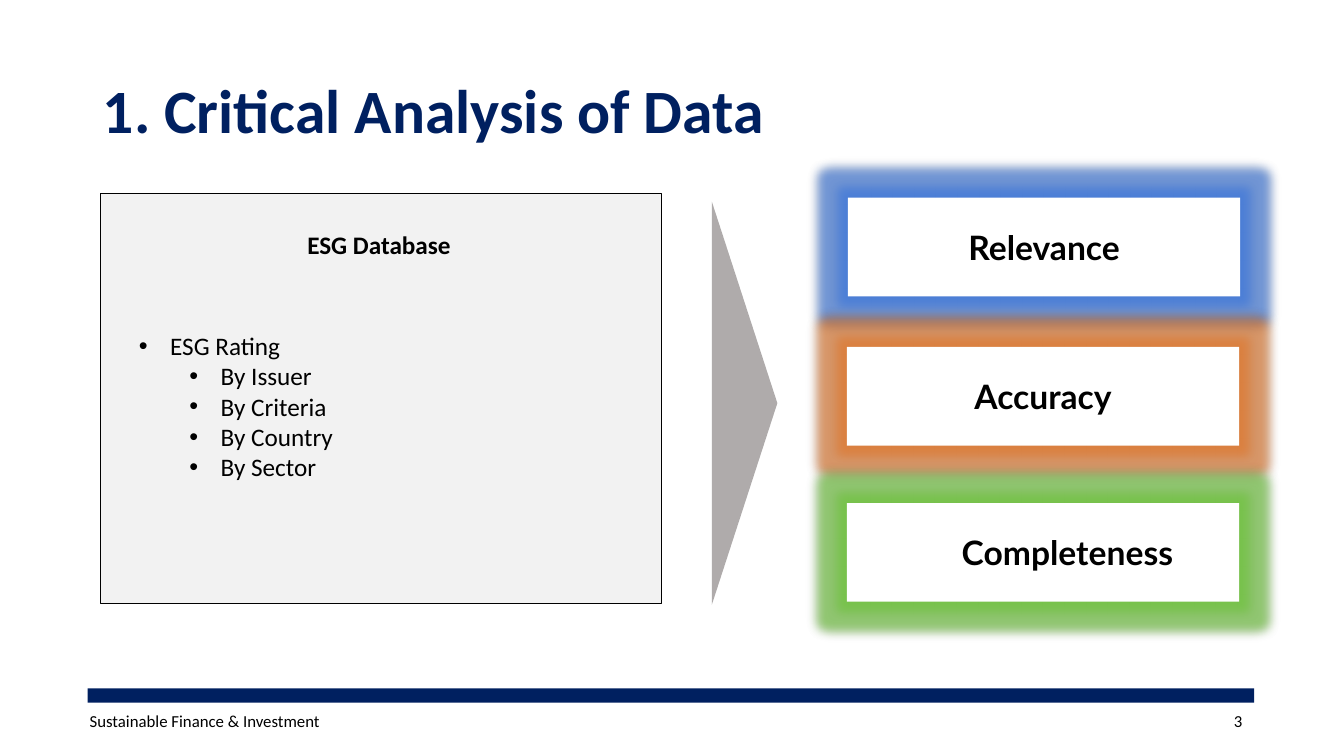
from dataclasses import dataclass

from lxml.etree import SubElement
from pptx import Presentation
from pptx.dml.color import RGBColor
from pptx.enum.shapes import MSO_SHAPE
from pptx.enum.text import MSO_ANCHOR, PP_ALIGN
from pptx.oxml.ns import qn
from pptx.util import Inches, Pt


@dataclass(frozen=True)
class Theme:
    """Colours, fonts and type sizes of the slide."""
    navy: str = "002060"
    black: str = "000000"
    white: str = "FFFFFF"
    panel: str = "F2F2F2"
    arrow: str = "AFABAB"
    blue: str = "3C78E0"
    orange: str = "E57A2E"
    green: str = "70C83C"
    body_font: str = "Calibri"
    card_font: str = "Lato"
    title_size: int = 44
    card_size: int = 24
    body_size: int = 18
    footer_size: int = 12
    glow_size: int = 14
    shadow_size: int = 5


THEME = Theme()


def add_span(para, text, size, color=THEME.black, font=THEME.body_font, bold=False):
    """Add one formatted run to a paragraph."""
    span = para.add_run()
    span.text = text
    span.font.size = Pt(size)
    span.font.name = font
    span.font.bold = bold
    span.font.color.rgb = RGBColor.from_string(color)


def add_block(page, box, fill, shape=MSO_SHAPE.RECTANGLE, line=None):
    """Add a flat filled shape."""
    block = page.shapes.add_shape(shape, *map(Inches, box))
    block.shadow.inherit = False
    block.fill.solid()
    block.fill.fore_color.rgb = RGBColor.from_string(fill)
    if line:
        block.line.color.rgb = RGBColor.from_string(line)
        block.line.width = Pt(1)
    else:
        block.line.fill.background()
    return block


def add_text(page, box, align=PP_ALIGN.LEFT, anchor=MSO_ANCHOR.TOP):
    """Add a wrapping text box and return its frame."""
    frame = page.shapes.add_textbox(*map(Inches, box)).text_frame
    frame.word_wrap = True
    frame.vertical_anchor = anchor
    frame.paragraphs[0].alignment = align
    return frame


def add_effect(effects, tag, color, alpha, **sizes):
    """Append a transparent coloured effect to an effect list."""
    effect = SubElement(effects, qn(tag), {key: str(size) for key, size in sizes.items()})
    tint = SubElement(effect, qn("a:srgbClr"), val=color)
    SubElement(tint, qn("a:alpha"), val=str(alpha * 1000))


def add_bullet(para, level):
    """Give a paragraph a hanging bullet at the given level."""
    para.level = level
    props = para._p.get_or_add_pPr()
    props.set("marL", str(Inches(0.31 + 0.5 * level)))
    props.set("indent", str(Inches(-0.31)))
    SubElement(props, qn("a:buFont"), typeface="Arial")
    SubElement(props, qn("a:buChar"), char="•")


def add_title(page, box, text):
    """Place and format the title placeholder."""
    title = page.shapes.title
    title.left, title.top, title.width, title.height = map(Inches, box)
    title.text_frame.vertical_anchor = MSO_ANCHOR.MIDDLE
    para = title.text_frame.paragraphs[0]
    para.alignment = PP_ALIGN.LEFT
    para.line_spacing = 0.9
    add_span(para, text, THEME.title_size, THEME.navy, bold=True)


def add_footer(page, box, text, number):
    """Draw the footer rule with the course name and page number below it."""
    left, top, width, height = box
    add_block(page, (left, top, width, 0.14), THEME.navy)
    label_top, label_height = top + 0.12, height - 0.12
    label = add_text(page, (left - 0.08, label_top, 4.62, label_height), anchor=MSO_ANCHOR.MIDDLE)
    add_span(label.paragraphs[0], text, THEME.footer_size)
    folio = add_text(page, (left + width - 3.02, label_top, 3, label_height),
                     PP_ALIGN.RIGHT, MSO_ANCHOR.MIDDLE)
    add_span(folio.paragraphs[0], number, THEME.footer_size)


def add_database(page, box, heading, items):
    """Draw the database panel with its heading and bullet list."""
    left, top, width, height = box
    add_block(page, box, THEME.panel, line=THEME.black)
    header = add_text(page, (left - 0.02, top + 0.31, width, 0.4), PP_ALIGN.CENTER)
    add_span(header.paragraphs[0], heading, THEME.body_size, bold=True)
    listing = add_text(page, (left + 0.28, top + 1.31, width - 0.68, 1.92))
    for index, (level, text) in enumerate(items):
        para = listing.add_paragraph() if index else listing.paragraphs[0]
        add_bullet(para, level)
        add_span(para, text, THEME.body_size)


def add_arrow(page, box):
    """Draw a triangle that points right and fills the box."""
    left, top, width, height = box
    turned = (left + (width - height) / 2, top + (height - width) / 2, height, width)
    add_block(page, turned, THEME.arrow, MSO_SHAPE.ISOSCELES_TRIANGLE).rotation = 90


def add_card(page, box, text, glow, shift):
    """Draw a white card with a coloured glow; shift moves its label right."""
    card = add_block(page, box, THEME.white)
    effects = card._element.spPr.find(qn("a:effectLst"))
    add_effect(effects, "a:glow", glow, 60, rad=Pt(THEME.glow_size))
    add_effect(effects, "a:outerShdw", THEME.black, 40, blurRad=Pt(THEME.shadow_size))
    frame = card.text_frame
    frame.margin_left = Inches(0.1 + 2 * shift)
    frame.vertical_anchor = MSO_ANCHOR.MIDDLE
    para = frame.paragraphs[0]
    para.alignment = PP_ALIGN.CENTER
    add_span(para, text, THEME.card_size, font=THEME.card_font, bold=True)


def main():
    """Build and save the slide."""
    deck = Presentation()
    deck.slide_width, deck.slide_height = Inches(13.33), Inches(7.5)
    page = deck.slides.add_slide(deck.slide_layouts[5])
    add_footer(page, (0.87, 6.83, 11.57, 0.52), "Sustainable Finance & Investment", "3")
    add_title(page, (0.92, 0.4, 11.5, 1.45), "1. Critical Analysis of Data")
    cards = [
        (8.41, 1.96, "Relevance", THEME.blue, 0),
        (8.4, 3.44, "Accuracy", THEME.orange, 0),
        (8.4, 4.99, "Completeness", THEME.green, 0.24),
    ]
    for left, top, text, glow, shift in cards:
        add_card(page, (left, top, 3.89, 0.98), text, glow, shift)
    add_arrow(page, (7.06, 2, 0.65, 4))
    add_database(page, (1, 1.92, 5.56, 4.07), "ESG Database", [
        (0, "ESG Rating"),
        (1, "By Issuer"),
        (1, "By Criteria"),
        (1, "By Country"),
        (1, "By Sector"),
    ])
    deck.save("out.pptx")


if __name__ == "__main__":
    main()
